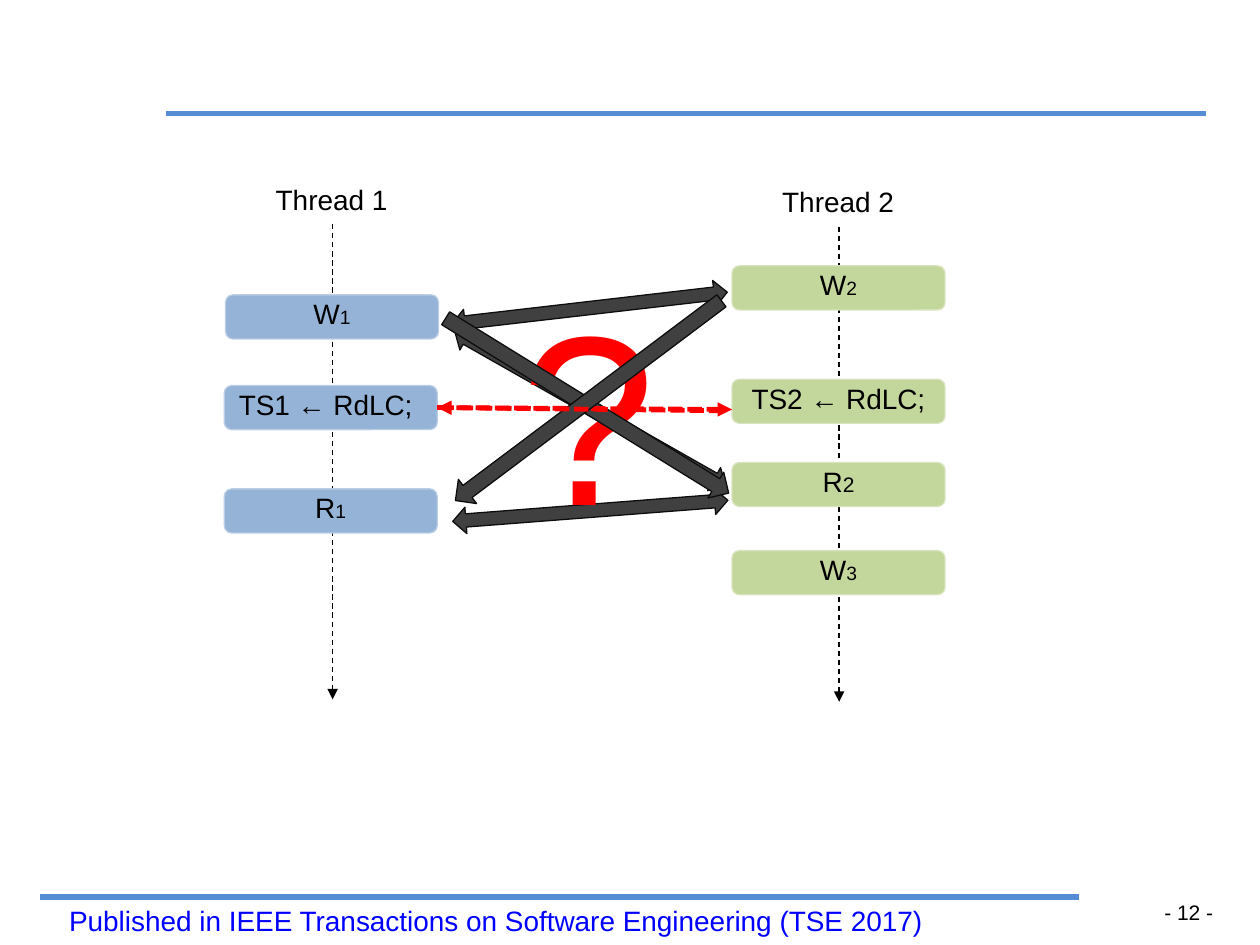
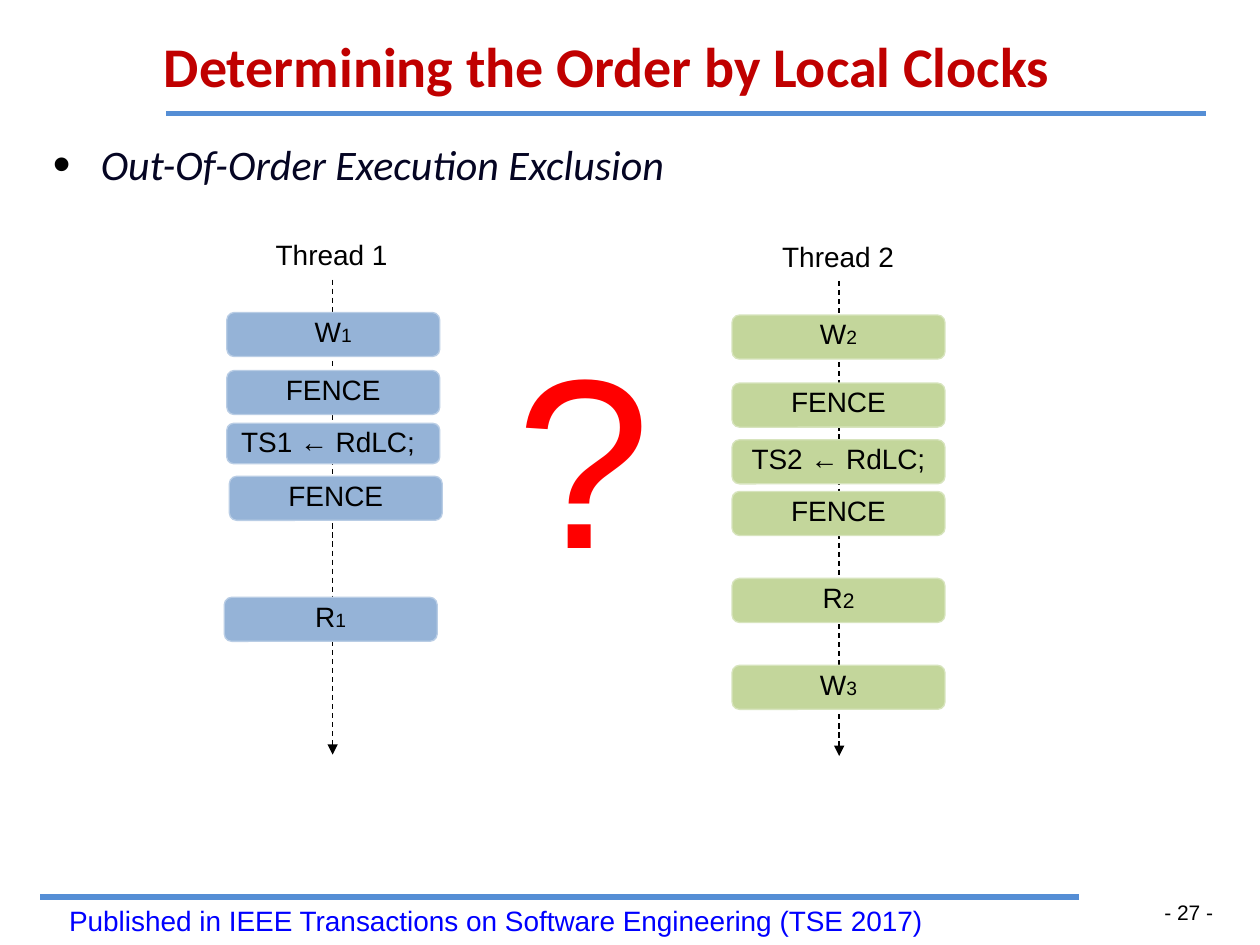
from dataclasses import dataclass

from lxml import etree
from pptx import Presentation
from pptx import util as u
from pptx.dml.color import RGBColor
from pptx.enum import dml, shapes, text
from pptx.oxml.ns import qn


@dataclass(frozen=True)
class Theme:
    font: str = "Arial"
    heading_font: str = "Calibri"
    title: str = "C00000"
    body: str = "050523"
    ink: str = "000000"
    footer: str = "0000FF"
    rule: str = "558ED5"
    alert: str = "FF0000"
    arrow: tuple = ("404040", "0D0D0D")
    thread1: tuple = ("95B3D7", "B9CDE5")
    thread2: tuple = ("C3D69B", "D7E4BD")
    title_size: int = 32
    body_size: int = 24
    label_size: int = 16
    sub_size: int = 11
    page_size: int = 12
    question_size: int = 138
    thin: float = 0.75
    clock_link: float = 2.75
    rule_width: float = 3


T = Theme()
HANG = u.Inches(0.38)
FOOTER = "Published in IEEE Transactions on Software Engineering (TSE 2017)"
ARROW = shapes.MSO_SHAPE.RIGHT_ARROW
TWO_WAY = shapes.MSO_SHAPE.LEFT_RIGHT_ARROW
DASH = dml.MSO_LINE.DASH
SHORT_DASH = dml.MSO_LINE.SQUARE_DOT


@dataclass
class Event:
    """One step of a thread; sub is the small index after the label."""
    label: str
    left: float
    top: float
    sub: str = ""
    sub_size: int = T.sub_size
    height: float = 0.35
    centered: bool = True


def inches(*values):
    return [u.Inches(v) for v in values]


def rgb(color):
    return RGBColor.from_string(color)


def add_run(p, content, size, color=T.ink, font=T.font, bold=False, italic=False):
    r = p.add_run()
    r.text = content
    r.font.name, r.font.size = font, u.Pt(size)
    r.font.bold, r.font.italic = bold, italic
    r.font.color.rgb = rgb(color)


def hang(p):
    pPr = p._p.get_or_add_pPr()
    pPr.set("marL", str(HANG))
    pPr.set("indent", str(-HANG))
    return pPr


def add_label(s, content, at, size=T.label_size, color=T.ink, wrap=False, spacing=0.8):
    tf = s.shapes.add_textbox(*inches(*at)).text_frame
    tf.word_wrap = wrap
    tf.auto_size = text.MSO_AUTO_SIZE.SHAPE_TO_FIT_TEXT
    p = tf.paragraphs[0]
    p.line_spacing = spacing
    add_run(p, content, size, color)
    return tf


def add_line(s, start, end, color, width, dash=None, arrow=False):
    line = s.shapes.add_connector(shapes.MSO_CONNECTOR.STRAIGHT, *inches(*start, *end))
    line.line.color.rgb = rgb(color)
    line.line.width = u.Pt(width)
    if dash:
        line.line.dash_style = dash
    if arrow:
        ln = line.line._get_or_add_ln()
        etree.SubElement(ln, qn("a:tailEnd"), type="triangle")
    etree.SubElement(line._element.spPr, qn("a:effectLst"))
    return line


def add_preset(s, kind, at, colors, rotation=0):
    sp = s.shapes.add_shape(kind, *inches(*at))
    sp.shadow.inherit = False
    sp.fill.solid()
    sp.fill.fore_color.rgb, sp.line.color.rgb = map(rgb, colors)
    sp.line.width = u.Pt(T.thin)
    sp.rotation = rotation
    return sp


def add_event(s, event, colors):
    at = event.left, event.top, 1.69, event.height
    sp = add_preset(s, shapes.MSO_SHAPE.ROUNDED_RECTANGLE, at, colors)
    tf = sp.text_frame
    tf.word_wrap = True
    tf.vertical_anchor = text.MSO_ANCHOR.TOP
    p = tf.paragraphs[0]
    hang(p)
    p.alignment = text.PP_ALIGN.CENTER if event.centered else text.PP_ALIGN.LEFT
    p.line_spacing = 0.8
    add_run(p, event.label, T.label_size)
    if event.sub:
        add_run(p, event.sub, event.sub_size)
    return sp


def add_thread(s, name, axis, top, colors, events):
    """Draw the name, the time line below it and the events; return the event boxes."""
    add_line(s, (axis, top + 0.33), (axis, top + 4.1), T.ink, T.thin, DASH, arrow=True)
    add_label(s, name, (axis - 0.55, top, 1.1, 0.32))
    return [add_event(s, event, colors) for event in events]


def add_question(s, left, top):
    add_label(s, "?", (left, top, 1.28, 1.96), T.question_size, T.alert)


def add_frame(s, page):
    tf = add_label(s, f"- {page} -", (9.19, 7.12, 0.52, 0.24), T.page_size, spacing=1)
    tf.margin_left = tf.margin_right = u.Inches(0.05)
    tf.margin_top = tf.margin_bottom = u.Inches(0.02)
    for left, right, y in ((1.32, 9.57, 0.9), (0.32, 8.56, 7.12)):
        add_line(s, (left, y), (right, y), T.rule, T.rule_width)
    add_label(s, FOOTER, (0.45, 7.17, 8.82, 0.32), color=T.footer, wrap=True)


def place(placeholder, at):
    placeholder.left, placeholder.top, placeholder.width, placeholder.height = inches(*at)
    tf = placeholder.text_frame
    tf.word_wrap = True
    tf.auto_size = text.MSO_AUTO_SIZE.NONE
    return tf


def set_title(s, content):
    tf = place(s.shapes.title, (1.2, 0.14, 8.8, 0.7))
    tf.vertical_anchor = text.MSO_ANCHOR.BOTTOM
    p = tf.paragraphs[0]
    p.alignment = text.PP_ALIGN.LEFT
    p.line_spacing = 0.9
    add_run(p, content, T.title_size, T.title, T.heading_font, bold=True)


def set_bullet(s, content):
    p = place(s.placeholders[1], (0.32, 1.05, 9.36, 6.07)).paragraphs[0]
    p.space_before = u.Pt(0)
    pPr = hang(p)
    color = etree.SubElement(pPr, qn("a:buClr"))
    etree.SubElement(color, qn("a:srgbClr"), val=T.ink)
    etree.SubElement(pPr, qn("a:buSzPct"), val="120000")
    etree.SubElement(pPr, qn("a:buFont"), typeface=T.font)
    etree.SubElement(pPr, qn("a:buChar"), char="•")
    add_run(p, content, T.body_size, T.body, T.heading_font, italic=True)


def build_unknown_order(prs):
    s = prs.slides.add_slide(prs.slide_layouts[6])
    add_frame(s, 12)
    _, clock1, _ = add_thread(s, "Thread 1", 2.64, 1.45, T.thread1, [
        Event("W", 1.79, 2.34, "1"),
        Event("TS1 ← RdLC;", 1.78, 3.06, centered=False),
        Event("R", 1.78, 3.88, "1"),
    ])
    add_thread(s, "Thread 2", 6.66, 1.47, T.thread2, [
        Event("W", 5.81, 2.11, "2"),
        Event("TS2 ← RdLC;", 5.81, 3.01),
        Event("R", 5.81, 3.67, "2", sub_size=12),
        Event("W", 5.81, 4.37, "3"),
    ])
    for at, rotation in (
        ((3.58, 2.34, 2.2, 0.21), 353.4),
        ((3.59, 3.95, 2.19, 0.21), 355.6),
        ((3.45, 3.14, 2.47, 0.21), 29.6),
    ):
        add_preset(s, TWO_WAY, at, T.arrow, rotation)
    add_question(s, 4.04, 2.49)

    link = T.alert, T.clock_link, SHORT_DASH, True
    add_preset(s, ARROW, (3.34, 3.1, 2.64, 0.24), T.arrow, 31.7)
    add_line(s, (3.48, 3.25), (5.81, 3.25), *link).begin_connect(clock1, 3)
    add_preset(s, ARROW, (3.35, 3.06, 2.64, 0.24), T.arrow, 143.1)
    add_line(s, (5.74, 3.26), (3.49, 3.24), *link).end_connect(clock1, 3)


def build_fenced_order(prs):
    s = prs.slides.add_slide(prs.slide_layouts[1])
    add_frame(s, 27)
    set_title(s, "Determining the Order by Local Clocks")
    set_bullet(s, "Out-Of-Order Execution Exclusion")
    add_thread(s, "Thread 1", 2.64, 1.89, T.thread1, [
        Event("W", 1.8, 2.48, "1"),
        Event("FENCE", 1.8, 2.94),
        Event("TS1 ← RdLC;", 1.8, 3.36, height=0.32, centered=False),
        Event("FENCE", 1.82, 3.78),
        Event("R", 1.78, 4.74, "1"),
    ])
    add_thread(s, "Thread 2", 6.66, 1.9, T.thread2, [
        Event("W", 5.81, 2.5, "2"),
        Event("FENCE", 5.81, 3.04),
        Event("TS2 ← RdLC;", 5.81, 3.49),
        Event("FENCE", 5.81, 3.9),
        Event("R", 5.81, 4.59, "2", sub_size=12),
        Event("W", 5.81, 5.28, "3"),
    ])
    add_question(s, 4, 2.83)


def main():
    prs = Presentation()
    prs.slide_width, prs.slide_height = inches(10, 7.5)
    build_unknown_order(prs)
    build_fenced_order(prs)
    prs.save("out.pptx")


if __name__ == "__main__":
    main()
